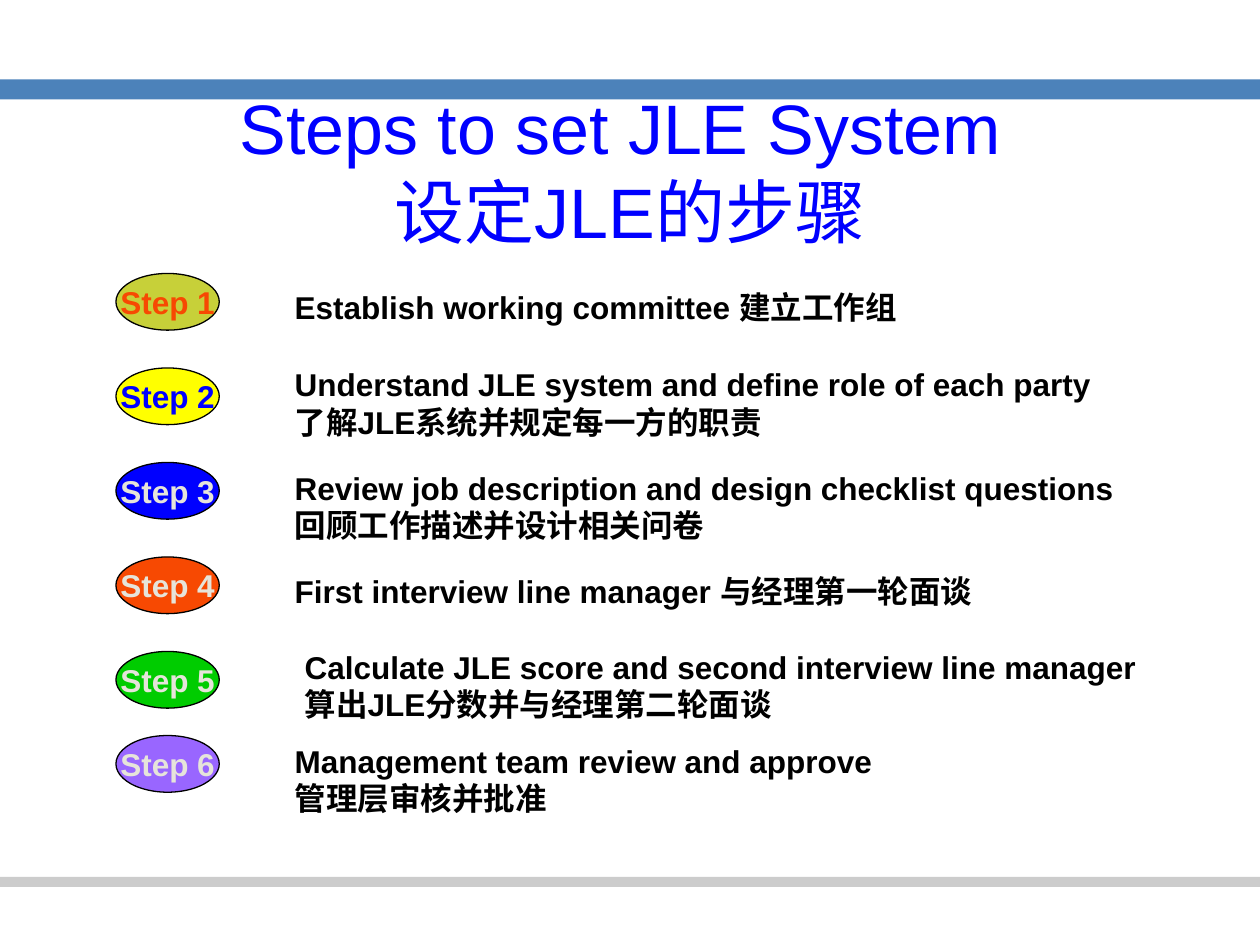
from pptx import Presentation
from pptx import util as u
from pptx.dml.color import RGBColor
from pptx.enum import shapes, text

COLORS = {
    "band": "4C82BA", "rule": "CCCCCC", "blue": "0000FF", "black": "000000",
    "olive": "C7D039", "orange": "F74902", "yellow": "FFFF00",
    "green": "00CC00", "violet": "9966FF", "pale": "E6E4DA",
}
WIDTH, HEIGHT = u.Inches(10), u.Inches(7.5)
ROW_PITCH = u.Inches(0.75)
BADGE_SIZE = u.Inches(0.82), u.Inches(0.45)

STEPS = [
    ("olive", "orange", 0, 2.24, 0.07, 5.53, ["Establish working committee 建立工作组"]),
    ("yellow", "blue", 1, 2.24, -0.07, 7.18,
     ["Understand JLE system and define role of each party", "了解JLE系统并规定每一方的职责"]),
    ("blue", "pale", 2, 2.24, 0, 6.85,
     ["Review job description and design checklist questions", "回顾工作描述并设计相关问卷"]),
    ("orange", "pale", 3, 2.24, 0.07, 6.19, ["First interview line manager 与经理第一轮面谈"]),
    ("green", "pale", 4, 2.32, -0.08, 6.84,
     ["Calculate JLE score and second interview line manager 算出JLE分数并与经理第二轮面谈"]),
    ("violet", "pale", 4.89, 2.24, 0, 5.69,
     ["Management team review and approve", "管理层审核并批准"]),
]


def rgb(name):
    return RGBColor.from_string(COLORS[name])


def write(frame, lines, size=18, color="black", bold=True, wrap=True,
          align=text.PP_ALIGN.LEFT, anchor=text.MSO_ANCHOR.TOP):
    frame.auto_size = text.MSO_AUTO_SIZE.NONE
    frame.word_wrap = wrap
    frame.vertical_anchor = anchor
    frame.margin_left = frame.margin_right = u.Inches(0.1)
    frame.margin_top = frame.margin_bottom = u.Inches(0.05)
    for index, line in enumerate(lines):
        paragraph = frame.add_paragraph() if index else frame.paragraphs[0]
        paragraph.alignment = align
        paragraph.space_before = u.Pt(0)
        run = paragraph.add_run()
        run.text = line
        run.font.name, run.font.size, run.font.bold = "Arial", u.Pt(size), bold
        run.font.color.rgb = rgb(color)


def add_filled(parent, kind, box, color, outline=None):
    figure = parent.add_shape(kind, *box)
    figure.shadow.inherit = False
    figure.fill.solid()
    figure.fill.fore_color.rgb = rgb(color)
    if outline:
        figure.line.color.rgb = rgb(outline)
        figure.line.width = u.Pt(0.75)
    else:
        figure.line.fill.background()
    return figure


def add_bands(slide):
    for color, top, height in (("band", 0.63, 0.16), ("rule", 6.96, 0.08)):
        add_filled(slide.shapes, shapes.MSO_SHAPE.RECTANGLE,
                   (0, u.Inches(top), WIDTH, u.Inches(height)), color)


def place_title(slide, left, top, width, height):
    title = slide.shapes.title
    title.left, title.top, title.width, title.height = left, top, width, height
    write(title.text_frame, ["Steps to set JLE System ", "设定JLE的步骤"], size=40,
          color="blue", bold=False, wrap=False, align=text.PP_ALIGN.CENTER,
          anchor=text.MSO_ANCHOR.MIDDLE)


def add_step(slide, number, left, top, step):
    fill, ink, _, label_left, shift, label_width, lines = step
    row = slide.shapes.add_group_shape().shapes
    badge = add_filled(row, shapes.MSO_SHAPE.OVAL, (left, top, *BADGE_SIZE), fill, "black")
    write(badge.text_frame, [f"Step {number}"], color=ink, wrap=False,
          align=text.PP_ALIGN.CENTER, anchor=text.MSO_ANCHOR.MIDDLE)
    label_height = 0.4 if number in (1, 4) else 0.7
    label = row.add_textbox(u.Inches(label_left), top + u.Inches(shift),
                            u.Inches(label_width), u.Inches(label_height))
    write(label.text_frame, lines)


def add_steps(slide, left, top):
    for number, step in enumerate(STEPS, 1):
        add_step(slide, number, left, top + int(step[2] * ROW_PITCH), step)


def main():
    deck = Presentation()
    deck.slide_width, deck.slide_height = WIDTH, HEIGHT
    slide = deck.slides.add_slide(deck.slide_layouts[5])
    add_bands(slide)
    place_title(slide, int(WIDTH * 0.16), u.Inches(0.92), int(WIDTH * 0.68), u.Inches(0.83))
    add_steps(slide, u.Inches(0.92), u.Inches(2.17))
    deck.save("out.pptx")


if __name__ == "__main__":
    main()
